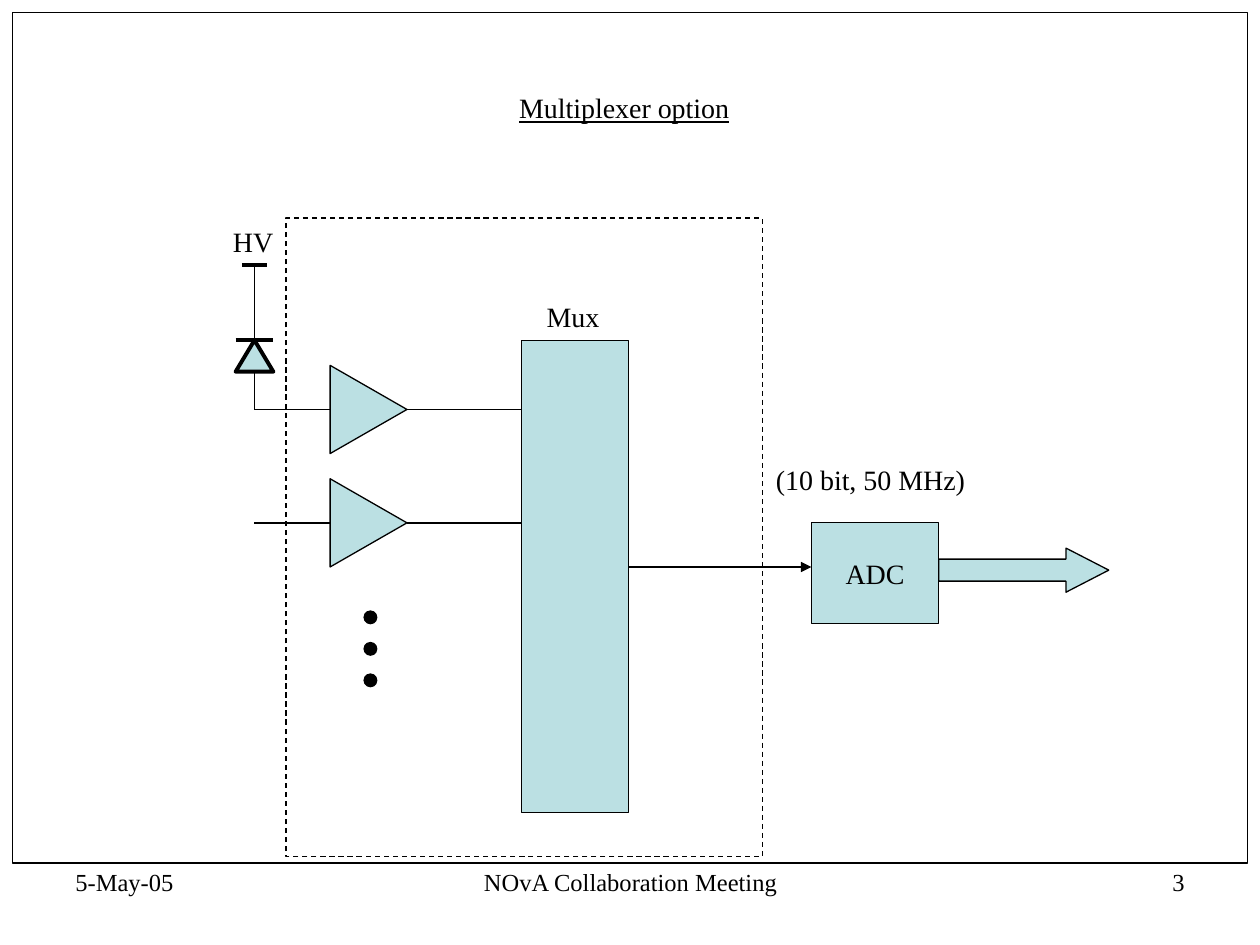
import pptx
import pptx.util
import pptx.dml.color
import pptx.enum.dml
import pptx.enum.shapes
import pptx.enum.text
import pptx.oxml
import pptx.oxml.ns

Inches, Pt = pptx.util.Inches, pptx.util.Pt
SHAPE = pptx.enum.shapes.MSO_SHAPE
ALIGN = pptx.enum.text.PP_ALIGN
ANCHOR = pptx.enum.text.MSO_ANCHOR
FIT = pptx.enum.text.MSO_AUTO_SIZE

THEME = dict(font="Times New Roman", ink="000000", fill="BBE0E3",
             body=16, foot=14, thin=0.75, thick=2.25)

TITLE = ("Multiplexer option", (4.02, 0.67, 1.87, 0.37))
LABELS = [
    ("HV", (1.75, 1.73, 0.52, 0.37)),
    ("Mux", (4.24, 2.33, 0.62, 0.37)),
    ("(10 bit, 50 MHz)", (6.06, 3.62, 1.7, 0.37)),
]
FOOTER = [
    ("NOvA Collaboration Meeting", (3.42, 6.83, 3.17, 0.52), ALIGN.CENTER),
    ("3", (7.17, 6.83, 2.33, 0.52), ALIGN.RIGHT),
    ("5-May-05", (0.5, 6.83, 2.33, 0.52), ALIGN.LEFT),
]
FRAME = (0.1, 0.1, 9.8, 6.75)
BOARD = (2.27, 1.73, 3.78, 5.07)
MUX = (4.14, 2.7, 0.85, 3.75)
ADC = (6.44, 4.15, 1.01, 0.8)
BUS = (7.45, 4.35, 1.35, 0.35)

WIRE_X = 2.02
HV_Y, DIODE_TOP, DIODE_BASE = 2.1, 2.7, 2.95
DIODE_W, HV_W = 0.3, 0.2
ROWS = [3.25, 4.15]
AMP_LEFT, AMP_RIGHT, AMP_H = 2.62, 3.23, 0.7
DOTS, DOT_X, DOT_GAP, DOT_SIZE = 3, 2.89, 0.25, 0.1
DOT_TOP = 4.85
SIGNAL_Y = 4.5


def color(name):
    return pptx.dml.color.RGBColor.from_string(THEME[name])


def add_part(slide, kind, box, fill="fill", width="thin"):
    part = slide.shapes.add_shape(kind, *map(Inches, box))
    part.shadow.inherit = False
    if fill:
        part.fill.solid()
        part.fill.fore_color.rgb = color(fill)
    else:
        part.fill.background()
    part.line.color.rgb = color("ink")
    part.line.width = Pt(THEME[width])
    return part


def add_line(slide, start, end, width="thin", arrow=False):
    line = slide.shapes.add_connector(
        pptx.enum.shapes.MSO_CONNECTOR.STRAIGHT, *map(Inches, start + end))
    line.line.color.rgb = color("ink")
    line.line.width = Pt(THEME[width])
    if arrow:
        tail = pptx.oxml.parse_xml(
            '<a:tailEnd %s type="triangle"/>' % pptx.oxml.ns.nsdecls("a"))
        line.line._get_or_add_ln().append(tail)
    line._element.spPr.append(pptx.oxml.parse_xml(
        "<a:effectLst %s/>" % pptx.oxml.ns.nsdecls("a")))
    return line


def write(shape, text, size="body", align=ALIGN.LEFT, wrap=False, anchor=ANCHOR.TOP):
    frame = shape.text_frame
    frame.text = text
    frame.word_wrap = wrap
    frame.vertical_anchor = anchor
    para = frame.paragraphs[0]
    para.alignment = align
    para.font.name = THEME["font"]
    para.font.size = Pt(THEME[size])
    para.font.color.rgb = color("ink")
    return para


def add_text(slide, text, box, **style):
    return write(slide.shapes.add_textbox(*map(Inches, box)), text, **style)


def add_title(slide):
    text, box = TITLE
    title = slide.shapes.title
    title.left, title.top, title.width, title.height = map(Inches, box)
    write(title, text).font.underline = True
    title.text_frame.auto_size = FIT.SHAPE_TO_FIT_TEXT


def add_diode(slide):
    left, right = WIRE_X - DIODE_W / 2, WIRE_X + DIODE_W / 2
    add_line(slide, (left, DIODE_TOP), (right, DIODE_TOP), "thick")
    add_part(slide, SHAPE.ISOSCELES_TRIANGLE,
             (left, DIODE_TOP, DIODE_W, DIODE_BASE - DIODE_TOP), width="thick")
    add_line(slide, (WIRE_X, DIODE_TOP), (WIRE_X, HV_Y))
    add_line(slide, (WIRE_X - HV_W / 2, HV_Y), (WIRE_X + HV_W / 2, HV_Y), "thick")
    add_line(slide, (WIRE_X, DIODE_BASE), (WIRE_X, ROWS[0]))


def add_amp(slide, mid):
    depth = AMP_RIGHT - AMP_LEFT
    left = (AMP_LEFT + AMP_RIGHT - AMP_H) / 2
    add_line(slide, (WIRE_X, mid), (AMP_LEFT, mid))
    amp = add_part(slide, SHAPE.ISOSCELES_TRIANGLE, (left, mid - depth / 2, AMP_H, depth))
    amp.rotation = 90
    add_line(slide, (AMP_RIGHT, mid), (MUX[0], mid))


def main():
    deck = pptx.Presentation()
    deck.slide_width, deck.slide_height = Inches(10), Inches(7.5)
    slide = deck.slides.add_slide(deck.slide_layouts[5])

    add_part(slide, SHAPE.RECTANGLE, FRAME, fill=None)
    add_title(slide)
    add_diode(slide)
    for mid in ROWS:
        add_amp(slide, mid)
    add_part(slide, SHAPE.RECTANGLE, MUX)
    for i in range(DOTS):
        add_part(slide, SHAPE.OVAL,
                 (DOT_X, DOT_TOP + i * DOT_GAP, DOT_SIZE, DOT_SIZE), fill="ink")

    add_line(slide, (MUX[0] + MUX[2], SIGNAL_Y), (ADC[0], SIGNAL_Y), arrow=True)
    board = add_part(slide, SHAPE.RECTANGLE, BOARD, fill=None)
    board.line.dash_style = pptx.enum.dml.MSO_LINE.DASH
    write(add_part(slide, SHAPE.RECTANGLE, ADC), "ADC",
          align=ALIGN.CENTER, anchor=ANCHOR.MIDDLE)
    bus = add_part(slide, SHAPE.RIGHT_ARROW, BUS)
    bus.adjustments[1] = 0.97

    for text, box in LABELS:
        add_text(slide, text, box)
    for text, box, align in FOOTER:
        add_text(slide, text, box, size="foot", align=align, wrap=True)

    deck.save("out.pptx")


if __name__ == "__main__":
    main()
